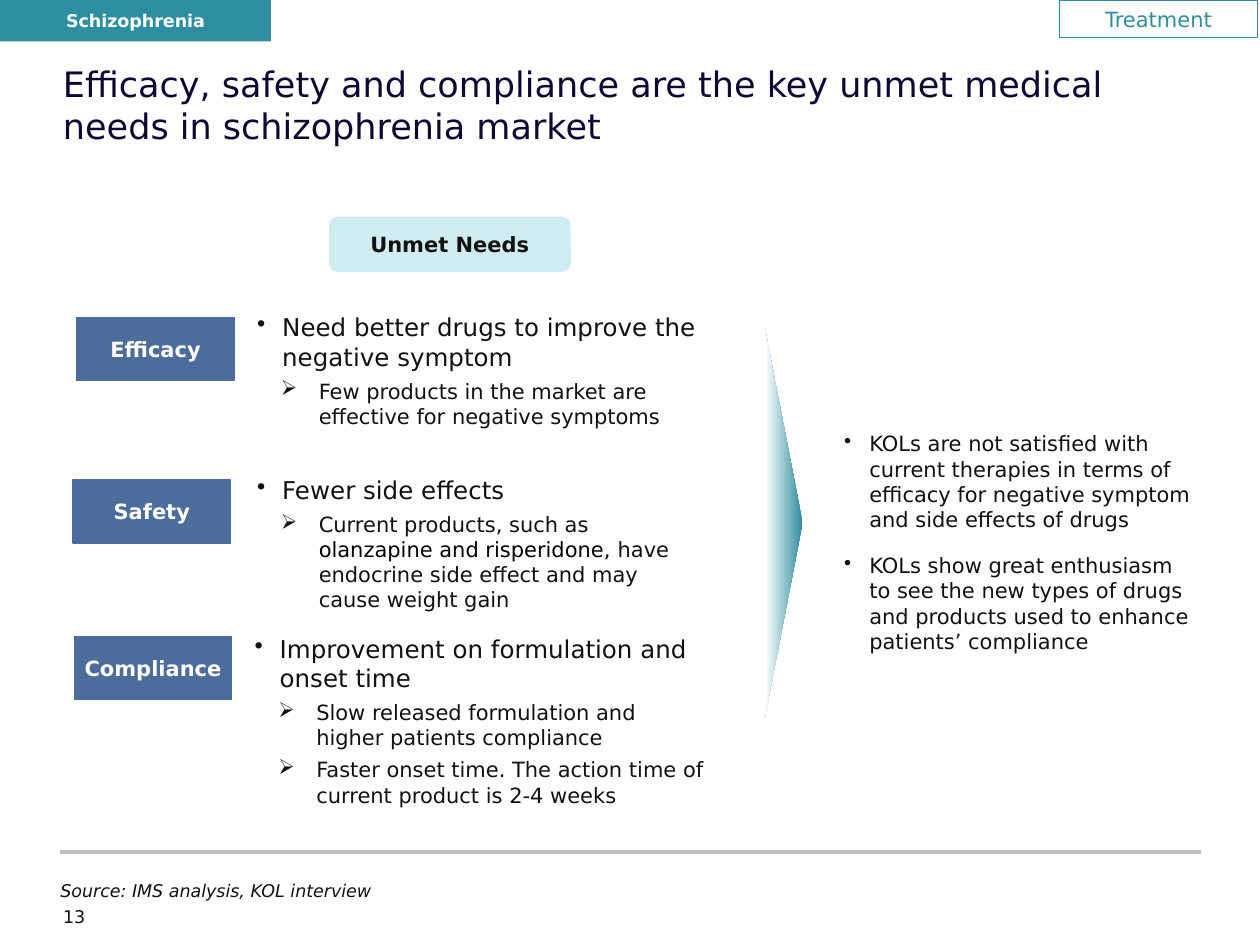
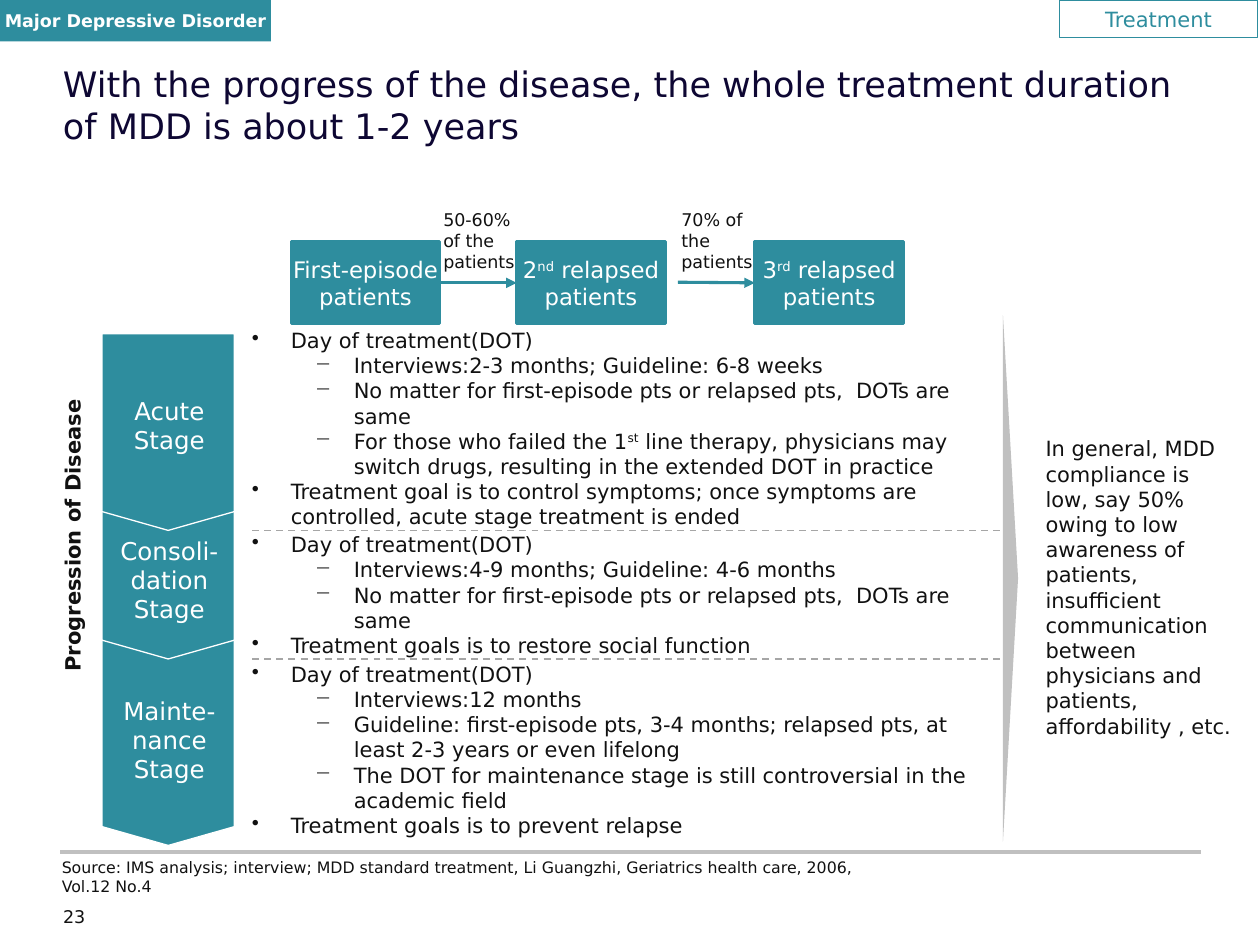
"""Build two slides on treatment of schizophrenia and major depressive disorder."""
from lxml.etree import SubElement
from pptx import Presentation
from pptx.dml.color import RGBColor
from pptx.enum.dml import MSO_LINE
from pptx.enum.shapes import MSO_CONNECTOR, MSO_SHAPE as SHAPE
from pptx.enum.text import MSO_ANCHOR as ANCHOR, PP_ALIGN as ALIGN
from pptx.oxml.ns import qn
from pptx.util import Inches, Pt

FONT = "DejaVu Sans"
TEAL = RGBColor(0x2E, 0x8D, 0x9E)
PALE_TEAL = RGBColor(0xD0, 0xEC, 0xF1)
BLUE = RGBColor(0x4C, 0x6C, 0x9C)
NAVY = RGBColor(0x0E, 0x07, 0x33)
INK = RGBColor(0x11, 0x11, 0x11)
BLACK = RGBColor(0, 0, 0)
WHITE = RGBColor(0xFF, 0xFF, 0xFF)
SILVER = RGBColor(0xC0, 0xC0, 0xC0)
GREY = RGBColor(0xA6, 0xA6, 0xA6)

TITLE = {"size": Pt(20), "color": NAVY}
POINT = {"size": Pt(14)}
BODY = {"size": Pt(12)}
SMALL = {"size": Pt(10)}
FINE = {"size": Pt(9)}
LABEL = {"size": Pt(12), "bold": True}
STAGE = {"size": Pt(14), "color": WHITE}
EPISODE = {"size": Pt(13), "color": WHITE}
SUPER = {"baseline": "30000"}

NEED_BULLETS = [("•", 0.2, 0.2, POINT), ("➢", 0.49, 0.3, BODY)]
KOL_BULLETS = [("•", 0.2, 0.2, BODY)]
STAGE_BULLETS = [("•", 0.31, 0.31, BODY), ("−", 0.81, 0.31, BODY)]

NEEDS = [
    ("Efficacy", (0.61, 2.52), (2.04, 2.48, 3.64, 0.8), [
        (0, "Need better drugs to improve the negative symptom"),
        (1, "Few products in the market are effective for negative symptoms")]),
    ("Safety", (0.58, 3.81), (2.04, 3.77, 3.56, 1.17), [
        (0, "Fewer side effects"),
        (1, ["Current products, such as ",
             ("olanzapine and risperidone, ", {"color": BLACK}),
             "have endocrine side effect and may cause weight gain"])]),
    ("Compliance", (0.59, 5.05), (2.02, 5.03, 3.61, 1.18), [
        (0, "Improvement on formulation and onset time"),
        (1, "Slow released formulation and higher patients compliance"),
        (1, "Faster onset time. The action time of current product is 2-4 weeks")]),
]
KOL_VIEWS = [
    (0, "KOLs are not satisfied with current therapies in terms of efficacy "
        "for negative symptom and side effects of drugs"),
    (0, "KOLs show great enthusiasm to see the new types of drugs and "
        "products used to enhance patients’ compliance"),
]
EPISODES = [
    (2.31, "First-episode patients", None),
    (4.1, ["2", ("nd", SUPER), " relapsed patients"], "50-60% of the patients"),
    (5.99, ["3", ("rd", SUPER), " relapsed patients"], "70% of the patients"),
]
DOT = (0, "Day of treatment(DOT)")
SAME_DOT = (1, "No matter for first-episode pts or relapsed pts,  DOTs are same")
STAGES = [
    ("Acute Stage", (2.65, 1.56), (3.14, 0.47), (2.55, 1.62), [
        DOT,
        (1, "Interviews:2-3 months; Guideline: 6-8 weeks"),
        SAME_DOT,
        (1, ["For those who failed the 1", ("st", SUPER),
             " line therapy, physicians may switch drugs, resulting in the "
             "extended DOT in practice"]),
        (0, "Treatment goal is to control symptoms; once symptoms are "
            "controlled, acute stage treatment is ended")]),
    ("Consoli-dation Stage", (3.85, 1.38), (4.25, 0.71), (4.17, 0.98), [
        DOT,
        (1, "Interviews:4-9 months; Guideline: 4-6 months"),
        SAME_DOT,
        (0, "Treatment goals is to restore social function")]),
    ("Mainte-nance Stage", (5.03, 1.68), (5.52, 0.71), (5.2, 1.48), [
        DOT,
        (1, "Interviews:12 months"),
        (1, "Guideline: first-episode pts, 3-4 months; relapsed pts, at least "
            "2-3 years or even lifelong"),
        (1, "The DOT for maintenance stage is still controversial in the "
            "academic field"),
        (0, "Treatment goals is to prevent relapse")]),
]
COMPLIANCE = ("In general, MDD compliance is low, say 50% owing to low awareness "
              "of patients, insufficient communication between physicians and "
              "patients, affordability , etc.")


def add_runs(p, content, style):
    """Write a string, or a list of strings and (text, format) pairs."""
    for part in [content] if isinstance(content, str) else content:
        text, extra = (part, {}) if isinstance(part, str) else part
        fmt = {"name": FONT, "color": INK, **style, **extra}
        r = p.add_run()
        r.text = text
        r.font.color.rgb = fmt.pop("color")
        baseline = fmt.pop("baseline", None)
        if baseline:
            r._r.get_or_add_rPr().set("baseline", baseline)
        for name, value in fmt.items():
            setattr(r.font, name, value)


def set_frame(tf, inset=True, wrap=True, anchor=ANCHOR.TOP):
    """Set the wrapping, anchor and margins of a text frame."""
    dx, dy = (0.1, 0.05) if inset else (0, 0)
    frame = {"word_wrap": wrap, "vertical_anchor": anchor,
             "margin_left": Inches(dx), "margin_right": Inches(dx),
             "margin_top": Inches(dy), "margin_bottom": Inches(dy)}
    for name, value in frame.items():
        setattr(tf, name, value)


def add_text(s, at, content, style, align=ALIGN.LEFT, **frame):
    """Add a text box with one paragraph."""
    sp = s.shapes.add_textbox(*map(Inches, at))
    set_frame(sp.text_frame, **frame)
    p = sp.text_frame.paragraphs[0]
    p.alignment = align
    add_runs(p, content, style)
    return sp


def add_bullets(s, at, items, levels, space=0, inset=False):
    """Add a text box of bulleted (level, content) items."""
    tf = s.shapes.add_textbox(*map(Inches, at)).text_frame
    set_frame(tf, inset)
    for i, (level, content) in enumerate(items):
        char, margin, hang, style = levels[level]
        p = tf.add_paragraph() if i else tf.paragraphs[0]
        p.level = level
        p.space_before = Pt(space if i else 0)
        pPr = p._p.get_or_add_pPr()
        pPr.set("marL", str(Inches(margin)))
        pPr.set("indent", str(-Inches(hang)))
        SubElement(pPr, qn("a:buChar")).set("char", char)
        add_runs(p, content, style)


def add_box(s, kind, at, fill=None, line=None, width=0.75):
    """Add a preset shape without shadow."""
    sp = s.shapes.add_shape(kind, *map(Inches, at))
    sp.shadow.inherit = False
    if fill is None:
        sp.fill.background()
    else:
        sp.fill.solid()
        sp.fill.fore_color.rgb = fill
    if line is None:
        sp.line.fill.background()
    else:
        sp.line.color.rgb = line
        sp.line.width = Pt(width)
    return sp


def add_label(sp, content, style, **frame):
    """Centre a text in a shape."""
    set_frame(sp.text_frame, anchor=ANCHOR.MIDDLE, **frame)
    p = sp.text_frame.paragraphs[0]
    p.alignment = ALIGN.CENTER
    add_runs(p, content, style)


def add_turned(s, kind, at, fill=None, line=None):
    """Add a shape turned clockwise by 90 degrees that covers the given area."""
    x, y, w, h = at
    turned = (x + (w - h) / 2, y + (h - w) / 2, h, w)
    sp = add_box(s, kind, turned, fill, line)
    sp.rotation = 90
    return sp


def add_line(s, start, end, color, width, dash=None, arrow=False):
    """Add a straight line, optionally dashed or with an arrowhead."""
    cx = s.shapes.add_connector(MSO_CONNECTOR.STRAIGHT,
                                *map(Inches, (*start, *end)))
    cx.line.color.rgb = color
    cx.line.width = Pt(width)
    if dash:
        cx.line.dash_style = dash
    spPr = cx._element.spPr
    if arrow:
        SubElement(spPr.find(qn("a:ln")), qn("a:tailEnd")).set("type", "triangle")
    SubElement(spPr, qn("a:effectLst"))
    return cx


def new_slide(prs, disease, title, number):
    """Add a slide with its header tabs, title, rule and number."""
    s = prs.slides.add_slide(prs.slide_layouts[6])
    add_line(s, (0.48, 6.76), (9.53, 6.76), SILVER, 2)
    add_text(s, (0.5, 7.19, 0.48, 0.2), number, SMALL, inset=False)
    add_text(s, (0.5, 0.5, 9, 1), title, TITLE, inset=False)
    tab = add_box(s, SHAPE.RECTANGLE, (0, 0, 2.15, 0.33), TEAL)
    add_label(tab, disease, {**SMALL, "bold": True, "color": WHITE}, wrap=False)
    tab = add_box(s, SHAPE.RECTANGLE, (8.41, 0, 1.57, 0.3), line=TEAL)
    add_label(tab, "Treatment", {**BODY, "color": TEAL}, wrap=False)
    return s


def build_unmet_needs(prs):
    """Build the slide on unmet needs in schizophrenia."""
    s = new_slide(prs, "Schizophrenia",
                  "Efficacy, safety and compliance are the key unmet medical "
                  "needs in schizophrenia market", "13")
    heading = add_box(s, SHAPE.FLOWCHART_ALTERNATE_PROCESS,
                      (2.61, 1.72, 1.92, 0.44), PALE_TEAL)
    add_label(heading, "Unmet Needs", LABEL)
    for name, corner, at, items in NEEDS:
        tag = add_box(s, SHAPE.RECTANGLE, (*corner, 1.25, 0.5), BLUE, BLUE)
        add_label(tag, name, {**LABEL, "color": WHITE}, wrap=False)
        add_bullets(s, at, items, NEED_BULLETS, space=4)
    wedge = add_turned(s, SHAPE.ISOSCELES_TRIANGLE, (6.07, 2.61, 0.3, 3.08))
    wedge.fill.gradient()
    wedge.fill.gradient_angle = 270
    for stop, color in zip(wedge.fill.gradient_stops, (TEAL, WHITE)):
        stop.color.rgb = color
    add_bullets(s, (6.7, 3.42, 2.76, 1.8), KOL_VIEWS, KOL_BULLETS, space=12)
    add_text(s, (0.48, 6.98, 7.94, 0.17), "Source: IMS analysis, KOL interview",
             {**SMALL, "italic": True}, inset=False, anchor=ANCHOR.MIDDLE)


def add_episodes(s):
    """Add the row of patient boxes joined by relapse arrows."""
    previous = None
    for x, content, share in EPISODES:
        box = add_box(s, SHAPE.RECTANGLE, (x, 1.92, 1.18, 0.65), TEAL, TEAL, 1.75)
        add_label(box, content, EPISODE, inset=False)
        if share:
            start = x - 0.61
            arrow = add_line(s, (start, 2.24), (x, 2.24), TEAL, 1.75, arrow=True)
            if abs(previous.left + previous.width - Inches(start)) < Inches(0.02):
                arrow.begin_connect(previous, 3)
            arrow.end_connect(box, 1)
            add_text(s, (start - 0.07, 1.61, 0.86, 0.62), share, SMALL)
        previous = box


def build_treatment_duration(prs):
    """Build the slide on the stages of treatment in depression."""
    s = new_slide(prs, "Major Depressive Disorder",
                  "With the progress of the disease, the whole treatment "
                  "duration of MDD is about 1-2 years", "23")
    add_episodes(s)
    for name, (top, height), (name_top, name_height), _, _ in reversed(STAGES):
        stage = add_turned(s, SHAPE.PENTAGON, (0.81, top, 1.05, height), TEAL, WHITE)
        stage.adjustments[0] = 0.142
        add_text(s, (0.86, name_top, 0.97, name_height), name, STAGE,
                 ALIGN.CENTER, inset=False)
    for _, _, _, (top, height), items in STAGES:
        add_bullets(s, (1.9, top, 5.95, height), items, STAGE_BULLETS, inset=True)
    for y in (4.21, 5.23):
        add_line(s, (2, y), (7.94, y), GREY, 1, MSO_LINE.DASH)
    axis = add_text(s, (-0.61, 4.1, 2.37, 0.3), "Progression of Disease", LABEL,
                    ALIGN.CENTER, wrap=False)
    axis.rotation = 270
    add_turned(s, SHAPE.ISOSCELES_TRIANGLE, (7.96, 2.5, 0.12, 4.18), SILVER)
    add_text(s, (8.2, 3.41, 1.67, 2.32), COMPLIANCE, BODY)
    add_text(s, (0.49, 6.81, 6.69, 0.3),
             "Source: IMS analysis; interview; MDD standard treatment, "
             "Li Guangzhi, Geriatrics health care, 2006, Vol.12 No.4",
             FINE, inset=False)


def main():
    """Build and save the presentation."""
    prs = Presentation()
    prs.slide_width, prs.slide_height = Inches(10), Inches(7.5)
    build_unmet_needs(prs)
    build_treatment_duration(prs)
    prs.save("out.pptx")


if __name__ == "__main__":
    main()
